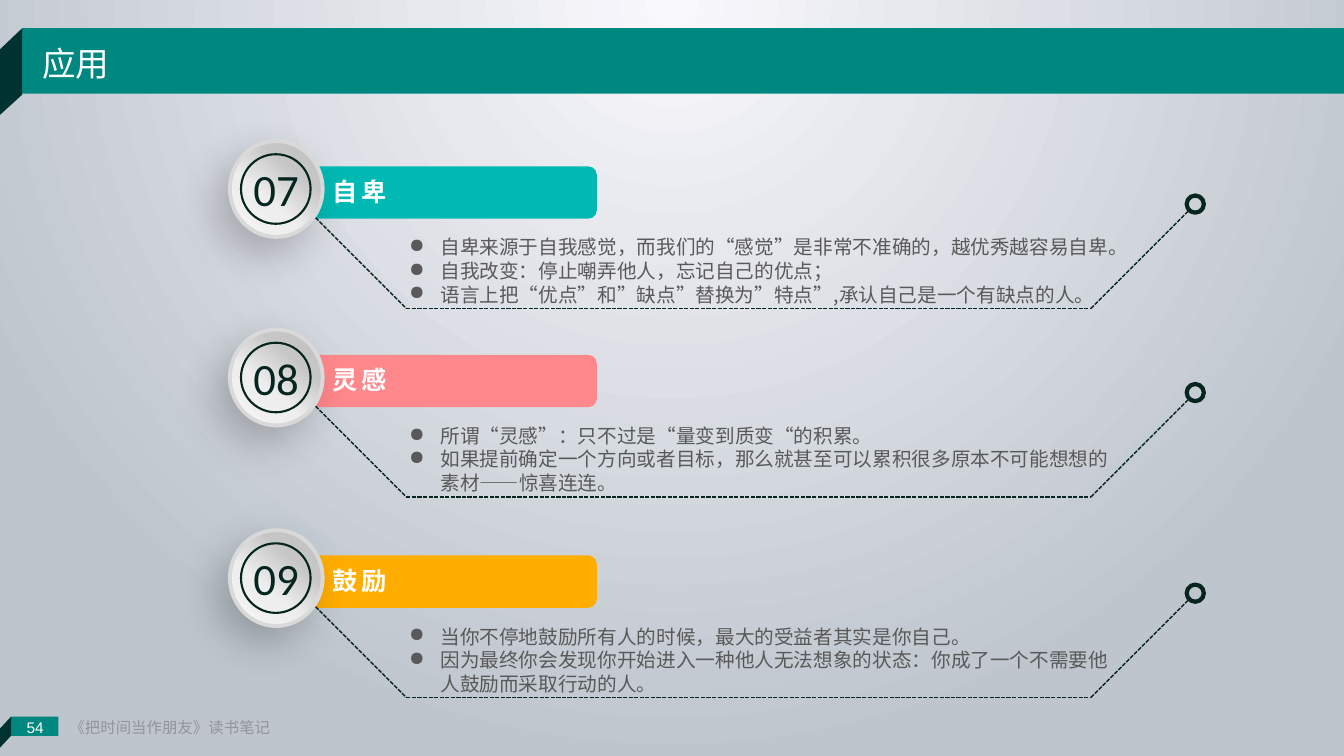
from dataclasses import dataclass

from lxml import etree
from pptx import Presentation
from pptx.dml.color import RGBColor
from pptx.enum import dml, shapes, text
from pptx.oxml import ns
from pptx.util import Inches, Pt

TEAL = RGBColor(0x00, 0x87, 0x80)
DARK_TEAL = RGBColor(0x00, 0x32, 0x31)
INK = RGBColor(0x06, 0x25, 0x1F)
TURQUOISE = RGBColor(0x00, 0xB9, 0xB3)
CORAL = RGBColor(0xFF, 0x88, 0x8C)
AMBER = RGBColor(0xFF, 0xAD, 0x00)
WHITE = RGBColor(0xFF, 0xFF, 0xFF)
BODY_GRAY = RGBColor(0x59, 0x59, 0x59)
FOOTER_GRAY = RGBColor(0x93, 0x95, 0x98)
RIM_GRAY = RGBColor(0xD9, 0xD9, 0xD9)
BLACK = RGBColor(0x00, 0x00, 0x00)
BACKDROP = [(0, RGBColor(0xF9, 0xF8, 0xFD)), (100, RGBColor(0xBE, 0xC5, 0xCD))]
DISC = [
    (0, RGBColor(0xBF, 0xBF, 0xBF)),
    (30, RGBColor(0xC6, 0xC6, 0xC6)),
    (61, RGBColor(0xEE, 0xEE, 0xEE)),
    (100, RGBColor(0xF5, 0xF5, 0xF5)),
]
CJK = "Noto Sans CJK SC"
OVAL = shapes.MSO_SHAPE.OVAL


@dataclass
class Style:
    size: float
    color: RGBColor
    font: str = CJK
    bold: bool = False
    spacing: int = 0
    centered: bool = False
    bullet: str = ""


@dataclass
class Topic:
    top: float
    number: str
    title: str
    color: RGBColor
    body_width: float
    points: list[str]


TOPICS = [
    Topic(1.65, "07", "自卑", TURQUOISE, 7.27, [
        "自卑来源于自我感觉，而我们的“感觉”是非常不准确的，越优秀越容易自卑。",
        "自我改变：停止嘲弄他人，忘记自己的优点；",
        "语言上把“优点”和”缺点”替换为”特点”,承认自己是一个有缺点的人。",
    ]),
    Topic(3.52, "08", "灵感", CORAL, 7.15, [
        "所谓“灵感”：只不过是“量变到质变“的积累。",
        "如果提前确定一个方向或者目标，那么就甚至可以累积很多原本不可能想想的素材——惊喜连连。",
    ]),
    Topic(5.51, "09", "鼓励", AMBER, 7.15, [
        "当你不停地鼓励所有人的时候，最大的受益者其实是你自己。",
        "因为最终你会发现你开始进入一种他人无法想象的状态：你成了一个不需要他人鼓励而采取行动的人。",
    ]),
]

NUMBER = Style(32, INK, "Calibri", centered=True)
TOPIC_TITLE = Style(18, WHITE, bold=True, spacing=300)
BODY = Style(14, BODY_GRAY, bullet="●")
HEADING = Style(24, WHITE)
PAGE = Style(11, WHITE, "Arial", centered=True)
FOOTER = Style(11, FOOTER_GRAY, "Arial")


def add_child(parent, tag: str, **attributes):
    return etree.SubElement(parent, ns.qn(tag), {k: str(v) for k, v in attributes.items()})


def set_stops(gradient, stops: list[tuple[int, RGBColor]]) -> None:
    for child in list(gradient):
        gradient.remove(child)
    stop_list = add_child(gradient, "a:gsLst")
    for position, color in stops:
        add_child(add_child(stop_list, "a:gs", pos=position * 1000), "a:srgbClr", val=color)


def write(frame, lines: list[str], style: Style) -> None:
    for index, line in enumerate(lines):
        paragraph = frame.add_paragraph() if index else frame.paragraphs[0]
        paragraph.text = line
        paragraph.alignment = text.PP_ALIGN.CENTER if style.centered else text.PP_ALIGN.LEFT
        properties = paragraph._p.get_or_add_pPr()
        if style.bullet:
            properties.set("marL", str(Inches(0.31)))
            properties.set("indent", str(Inches(-0.31)))
            add_child(properties, "a:buChar", char=style.bullet)
        font = paragraph.font
        font.size = Pt(style.size)
        font.bold = style.bold
        font.color.rgb = style.color
        font.name = style.font
        defaults = properties.find(ns.qn("a:defRPr"))
        add_child(defaults, "a:ea", typeface=CJK)
        if style.spacing:
            defaults.set("spc", str(style.spacing))


def add_text(slide, box: tuple, lines: list[str], style: Style, wrap: bool = False,
             inset: tuple[float, float] = (0.1, 0.05)):
    frame = slide.shapes.add_textbox(*map(Inches, box)).text_frame
    frame.word_wrap = wrap
    frame.auto_size = text.MSO_AUTO_SIZE.SHAPE_TO_FIT_TEXT
    frame.margin_left = frame.margin_right = Inches(inset[0])
    frame.margin_top = frame.margin_bottom = Inches(inset[1])
    write(frame, lines, style)
    return frame


def add_solid(slide, kind: shapes.MSO_SHAPE, box: tuple, color: RGBColor) -> None:
    solid = slide.shapes.add_shape(kind, *map(Inches, box))
    solid.shadow.inherit = False
    solid.fill.solid()
    solid.fill.fore_color.rgb = color
    solid.line.fill.background()


def add_ring(slide, box: tuple, width: float) -> None:
    ring = slide.shapes.add_shape(OVAL, *map(Inches, box))
    ring.shadow.inherit = False
    ring.fill.background()
    ring.line.color.rgb = INK
    ring.line.width = Pt(width)


def add_fold(slide, corners: list[tuple[float, float]]) -> None:
    points = [(Inches(x), Inches(y)) for x, y in corners]
    builder = slide.shapes.build_freeform(*points[0])
    builder.add_line_segments(points[1:], close=True)
    fold = builder.convert_to_shape()
    fold.shadow.inherit = False
    fold.fill.solid()
    fold.fill.fore_color.rgb = DARK_TEAL
    fold.line.fill.background()


def add_disc(slide, box: tuple, number: str) -> None:
    disc = slide.shapes.add_shape(OVAL, *map(Inches, box))
    disc.fill.gradient()
    gradient = disc._element.spPr.find(ns.qn("a:gradFill"))
    set_stops(gradient, DISC)
    add_child(gradient, "a:lin", ang=130 * 60000, scaled=0)
    disc.line.color.rgb = RIM_GRAY
    disc.line.width = Pt(2.75)
    disc.shadow.inherit = False
    effects = disc._element.spPr.find(ns.qn("a:effectLst"))
    shadow = add_child(effects, "a:outerShdw", blurRad=Pt(30), dist=Pt(14),
                       dir=130 * 60000, algn="ctr", rotWithShape=0)
    add_child(add_child(shadow, "a:srgbClr", val=BLACK), "a:alpha", val=22000)
    disc.text_frame.word_wrap = False
    disc.text_frame.vertical_anchor = text.MSO_ANCHOR.MIDDLE
    write(disc.text_frame, [number], NUMBER)


def add_dashes(slide, start: tuple[float, float], end: tuple[float, float]) -> None:
    dashes = slide.shapes.add_connector(shapes.MSO_CONNECTOR.STRAIGHT, *map(Inches, start + end))
    dashes.line.color.rgb = INK
    dashes.line.width = Pt(1)
    dashes.line.dash_style = dml.MSO_LINE.SQUARE_DOT
    add_child(dashes._element.spPr, "a:effectLst")


def add_topic(slide, topic: Topic) -> None:
    top = topic.top
    add_solid(slide, shapes.MSO_SHAPE.ROUNDED_RECTANGLE, (2.57, top, 3.35, 0.52), topic.color)
    add_disc(slide, (2.28, top - 0.25, 0.92, 0.95), topic.number)
    add_ring(slide, (2.39, top - 0.12, 0.69, 0.69), 1.5)
    add_text(slide, (3.2, top + 0.05, 0.79, 0.4), [topic.title], TOPIC_TITLE)
    body = add_text(slide, (3.96, top + 0.63, topic.body_width, 0.81), topic.points, BODY, wrap=True)
    body.vertical_anchor = text.MSO_ANCHOR.MIDDLE
    bends = [(3.13, top + 0.51), (4.03, top + 1.41), (10.82, top + 1.41), (11.79, top + 0.44)]
    for start, end in zip(bends, bends[1:]):
        add_dashes(slide, start, end)
    add_ring(slide, (11.77, top + 0.29, 0.17, 0.17), 3)


def main() -> None:
    deck = Presentation()
    deck.slide_width, deck.slide_height = Inches(13.33), Inches(7.5)
    slide = deck.slides.add_slide(deck.slide_layouts[6])
    slide.background.fill.gradient()
    backdrop = slide._element.find(".//" + ns.qn("a:gradFill"))
    set_stops(backdrop, BACKDROP)
    glow = add_child(backdrop, "a:path", path="circle")
    add_child(glow, "a:fillToRect", l=50000, t=-80000, r=50000, b=180000)

    for topic in TOPICS:
        add_topic(slide, topic)

    for band in [(0.22, 0.28, 13.11, 0.65), (0.11, 7.11, 0.47, 0.19)]:
        add_solid(slide, shapes.MSO_SHAPE.RECTANGLE, band, TEAL)
    add_fold(slide, [(0.11, 7.11), (-0.02, 7.25), (-0.02, 7.44), (0.11, 7.3)])
    add_fold(slide, [(0, 0.49), (0, 1.14), (0.22, 0.94), (0.22, 0.28)])
    add_text(slide, (0.12, 7.05, 0.46, 0.32), ["54"], PAGE, inset=(0.13, 0.07))
    add_text(slide, (0.56, 7.05, 2.27, 0.32), ["《把时间当作朋友》读书笔记"], FOOTER, inset=(0.13, 0.07))
    add_text(slide, (0.32, 0.38, 0.88, 0.5), ["应用"], HEADING)
    deck.save("out.pptx")


if __name__ == "__main__":
    main()
